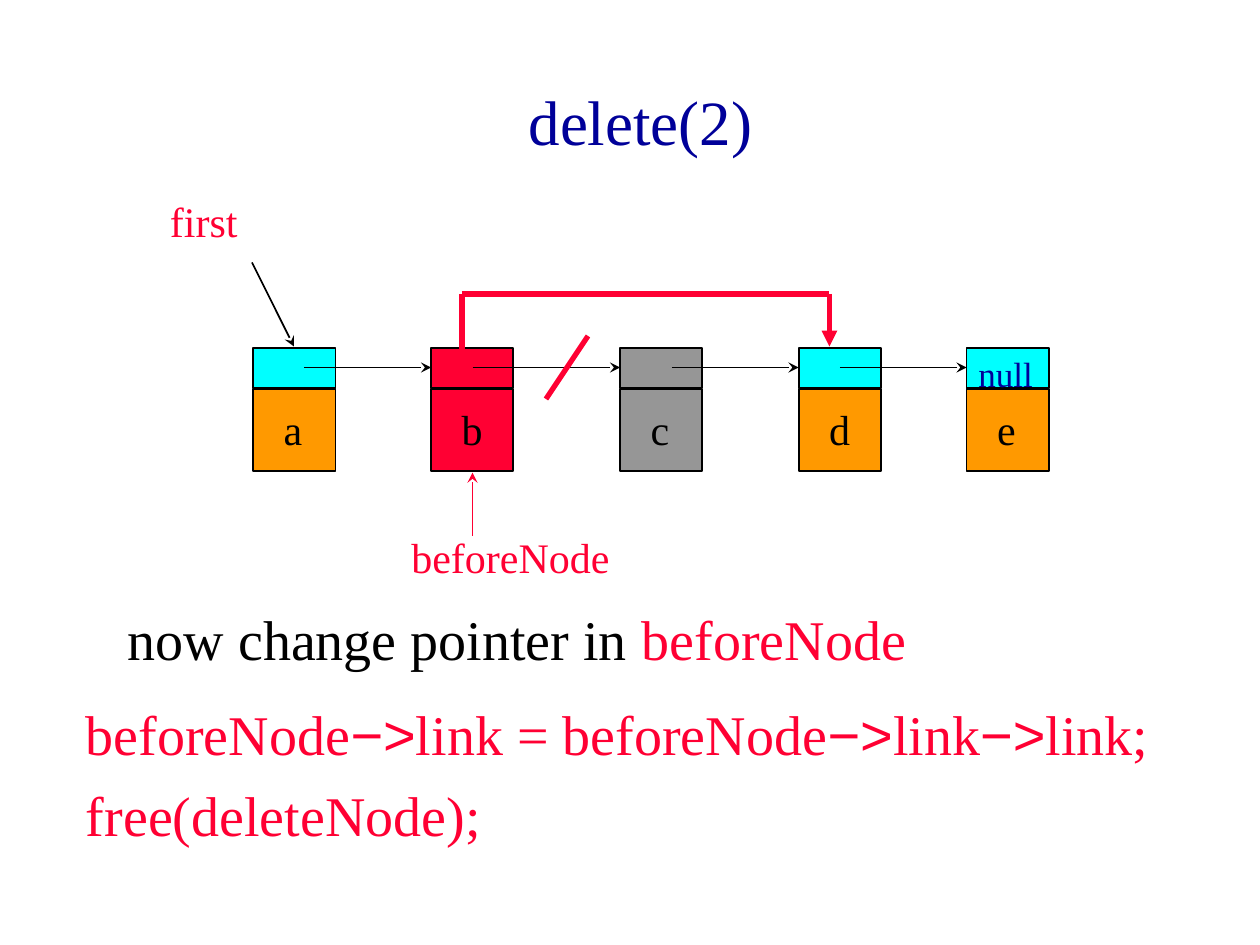
"""Build the linked-list deletion slide."""
from dataclasses import dataclass

from lxml import etree
from pptx import Presentation
from pptx.dml.color import RGBColor
from pptx.enum.shapes import MSO_CONNECTOR, MSO_SHAPE
from pptx.enum.text import MSO_ANCHOR, PP_ALIGN
from pptx.oxml.ns import qn
from pptx.util import Pt

RECT = MSO_SHAPE.RECTANGLE
STRAIGHT = MSO_CONNECTOR.STRAIGHT
TOP, MIDDLE = MSO_ANCHOR.TOP, MSO_ANCHOR.MIDDLE
LEFT, CENTER = PP_ALIGN.LEFT, PP_ALIGN.CENTER


@dataclass(frozen=True)
class Theme:
    serif: str = "Times New Roman"
    sans: str = "Arial"
    black: str = "000000"
    red: str = "FF0033"
    navy: str = "000099"
    orange: str = "FF9900"
    cyan: str = "00FFFF"
    gray: str = "969696"
    title: int = 36
    body: int = 32
    label: int = 24
    small: int = 20


T = Theme()
BOX, LINK_H, LINK_TOP, DATA_TOP, LINK_Y = 47, 23.2, 198.7, 222.3, 210


def add_text(s, box, paragraphs, size, color, align=LEFT, anchor=TOP, wrap=True):
    tf = s.shapes.add_textbox(*map(Pt, box)).text_frame
    for name, value in {"word_wrap": wrap, "vertical_anchor": anchor}.items():
        setattr(tf, name, value)
    for i, runs in enumerate(paragraphs):
        p = tf.add_paragraph() if i else tf.paragraphs[0]
        p.alignment = align
        if i:
            p.space_before = Pt(8)
        for text, fmt in runs:
            r = p.add_run()
            r.text = text
            font = {"name": T.serif, "size": Pt(size), **fmt}
            rgb = font.pop("color", color)
            for name, value in font.items():
                setattr(r.font, name, value)
            r.font.color.rgb = RGBColor.from_string(rgb)


def add_label(s, box, text, size, color, **kwargs):
    add_text(s, box, [[(text, {})]], size, color, **kwargs)


def add_box(s, left, top, height, fill):
    sp = s.shapes.add_shape(RECT, Pt(left), Pt(top), Pt(BOX), Pt(height))
    sp.shadow.inherit = False
    sp.fill.solid()
    sp.fill.fore_color.rgb = RGBColor.from_string(fill)
    sp.line.color.rgb = RGBColor.from_string(T.black)
    sp.line.width = Pt(1)


def add_node(s, left, text, data_fill, link_fill):
    add_box(s, left, DATA_TOP, BOX, data_fill)
    add_box(s, left, LINK_TOP, LINK_H, link_fill)
    add_label(s, (left + 10.3, 226.8, 26, 36), text, T.label, T.black, wrap=False)


def add_line(s, start, end, color=T.black, width=1, head=None):
    cx = s.shapes.add_connector(STRAIGHT, *map(Pt, (*start, *end)))
    cx.line.color.rgb = RGBColor.from_string(color)
    cx.line.width = Pt(width)
    if head:
        etree.SubElement(cx.line._get_or_add_ln(), qn("a:tailEnd"), type=head)
    etree.SubElement(cx._element.spPr, qn("a:effectLst"))


def add_list(s):
    nodes = [
        (144.7, "a", T.orange, T.cyan),
        (246.4, "b", T.red, T.red),
        (354.4, "c", T.gray, T.gray),
        (456.4, "d", T.orange, T.cyan),
        (552.4, "e", T.orange, T.cyan),
    ]
    for node in nodes:
        add_node(s, *node)
    for start, node in zip((174, 270, 384, 480), nodes[1:]):
        add_line(s, (start, LINK_Y), (node[0], LINK_Y), head="stealth")
    add_label(s, (552, 198, 48, 31), "null", T.small, T.navy)


def add_bypass(s):
    corners = [(264, LINK_Y), (264, 168), (474, 168), (474, 198)]
    for start, end, head in zip(corners, corners[1:], (None, None, "triangle")):
        add_line(s, start, end, T.red, 3, head)
    add_line(s, (336, 192), (312, 228), T.red, 3)


def add_pointers(s):
    add_label(s, (90, 108, 132, 36), "first", T.label, T.red)
    add_line(s, (144, 150), (168, 198), head="stealth")
    add_label(s, (228, 300, 144, 36), "beforeNode", T.label, T.red)
    add_line(s, (270, 306), (270, 270), T.red, head="stealth")


def add_statements(s):
    red, arrow = {"color": T.red}, ("−>", {"name": T.sans})
    add_text(s, (66, 342, 612, 78),
             [[("now change pointer in", {}), (" beforeNode", red)]], T.body, T.black)
    assignment = [("beforeNode", {}), arrow, ("link = beforeNode", {}), arrow,
                  ("link", {}), arrow, ("link;", {})]
    add_text(s, (42, 396, 678, 78),
             [assignment, [("free(deleteNode);", {})]], T.body, T.red)


def main():
    prs = Presentation()
    prs.slide_width, prs.slide_height = Pt(720), Pt(540)
    s = prs.slides.add_slide(prs.slide_layouts[6])
    add_label(s, (60, 24, 612, 90), "delete(2)", T.title, T.navy,
              align=CENTER, anchor=MIDDLE)
    add_statements(s)
    add_list(s)
    add_pointers(s)
    add_bypass(s)
    prs.save("out.pptx")


if __name__ == "__main__":
    main()
